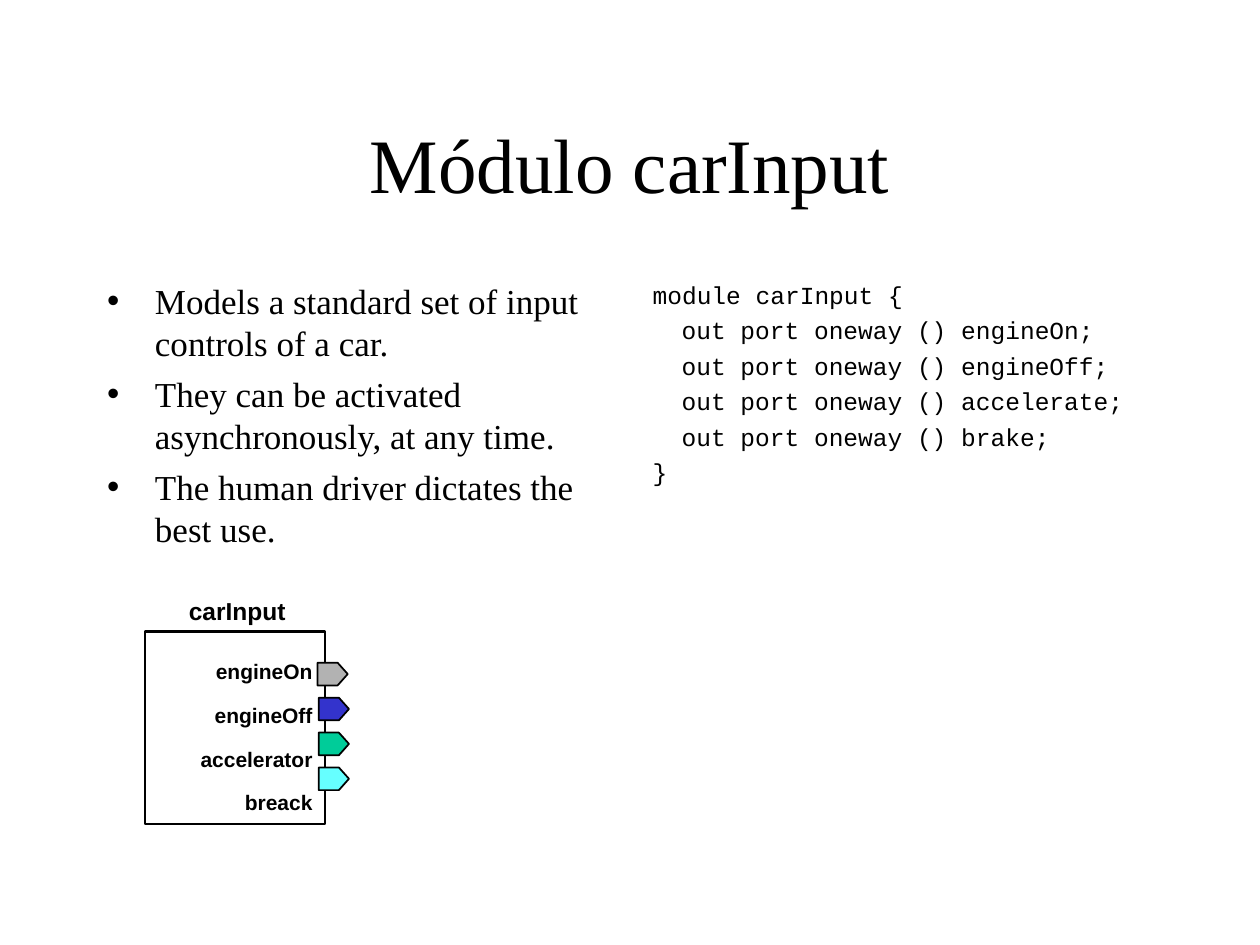
from lxml.etree import SubElement
from pptx import Presentation
from pptx.dml.color import RGBColor
from pptx.enum.shapes import MSO_SHAPE
from pptx.enum.text import MSO_ANCHOR, MSO_AUTO_SIZE, PP_ALIGN
from pptx.oxml.ns import qn
from pptx.util import Inches, Pt

TITLE = "Módulo carInput"
POINTS = [
    "Models a standard set of input controls of a car.",
    "They can be activated asynchronously, at any time.",
    "The human driver dictates the best use.",
]
CODE = [  # (nesting level, line)
    (0, "module carInput {"),
    (1, "out port oneway () engineOn;"),
    (1, "out port oneway () engineOff;"),
    (1, "out port oneway () accelerate;"),
    (1, "out port oneway () brake;"),
    (0, "}"),
]
MODULE = "carInput"
PORTS = [  # (label, left edge, colour name)
    ("engineOn", 2.52, "gray"),
    ("engineOff", 2.53, "blue"),
    ("accelerator", 2.53, "green"),
    ("breack", 2.53, "cyan"),
]
THEME = {
    "serif": "Times New Roman", "sans": "Arial", "mono": "Courier New",
    "title": 44, "body": 20, "code": 14, "module": 14, "port": 12,
    "black": "000000", "white": "FFFFFF",
    "gray": "B2B2B2", "blue": "3333CC", "green": "00CC99", "cyan": "66FFFF",
}
HANG = 0.38
CODE_STEP = 0.23  # two monospaced characters
PORT_TOP, PORT_PITCH = 5.26, 0.277
PORT_W, PORT_H, PORT_TIP = 0.24, 0.18, 0.08


def color(name):
    return RGBColor.from_string(THEME[name])


def place(sp, left, top, width, height):
    sp.left, sp.top = Inches(left), Inches(top)
    sp.width, sp.height = Inches(width), Inches(height)


def write(tf, lines, font, size, align=PP_ALIGN.LEFT, anchor=MSO_ANCHOR.TOP,
          bold=False, before=0, spacing=None, hang=0, step=0, bullet=None,
          wrap=True):
    """Fill a text frame with (level, text) lines, one paragraph each."""
    tf.word_wrap, tf.auto_size = wrap, MSO_AUTO_SIZE.NONE
    tf.vertical_anchor = anchor
    tf.margin_left = tf.margin_right = Inches(0.1)
    tf.margin_top = tf.margin_bottom = Inches(0.05)
    for i, (level, text) in enumerate(lines):
        p = tf.paragraphs[0] if i == 0 else tf.add_paragraph()
        p.alignment, p.space_before = align, Pt(before)
        if spacing:
            p.line_spacing = Pt(spacing)
        r = p.add_run()
        r.text = text
        r.font.name, r.font.size, r.font.bold = THEME[font], Pt(THEME[size]), bold
        r.font.color.rgb = color("black")
        pPr = p._p.get_or_add_pPr()
        pPr.set("marL", str(Inches(hang + level * step)))
        pPr.set("indent", str(Inches(-hang)))
        if bullet:
            SubElement(pPr, qn("a:buChar")).set("char", bullet)
        else:
            SubElement(pPr, qn("a:buNone"))


def style(sp, fill, width):
    sp.shadow.inherit = False
    sp.fill.solid()
    sp.fill.fore_color.rgb = color(fill)
    sp.line.color.rgb = color("black")
    sp.line.width = Pt(width)


def add_port(shapes, left, top, fill):
    right, bottom = left + PORT_W, top + PORT_H
    neck = right - PORT_TIP
    outline = [(neck, top), (right, top + PORT_H / 2), (neck, bottom), (left, bottom)]
    fb = shapes.build_freeform(Inches(left), Inches(top))
    fb.add_line_segments([(Inches(x), Inches(y)) for x, y in outline], close=True)
    style(fb.convert_to_shape(), fill, 1)


def main():
    prs = Presentation()
    prs.slide_width, prs.slide_height = Inches(10), Inches(7.5)
    s = prs.slides.add_slide(prs.slide_layouts[3])
    title, points, code = list(s.placeholders)[:3]

    place(title, 0.75, 0.67, 8.5, 1.25)
    write(title.text_frame, [(0, TITLE)], "serif", "title",
          align=PP_ALIGN.CENTER, anchor=MSO_ANCHOR.MIDDLE)
    place(points, 0.75, 2.17, 4.17, 4.5)
    write(points.text_frame, [(0, t) for t in POINTS], "serif", "body",
          before=5, hang=HANG, bullet="•")
    place(code, 5.08, 2.17, 4.17, 4.5)
    write(code.text_frame, CODE, "mono", "code",
          before=3.5, hang=HANG, step=CODE_STEP)

    shapes = s.shapes.add_group_shape().shapes
    box = shapes.add_shape(MSO_SHAPE.RECTANGLE, Inches(1.15), Inches(5.01),
                           Inches(1.43), Inches(1.53))
    style(box, "white", 1.5)
    write(box.text_frame, [(0, label) for label, _, _ in PORTS], "sans", "port",
          align=PP_ALIGN.RIGHT, anchor=MSO_ANCHOR.MIDDLE, bold=True, spacing=25)
    for i, (_, left, fill) in enumerate(PORTS):
        add_port(shapes, left, PORT_TOP + i * PORT_PITCH, fill)
    name = shapes.add_textbox(Inches(1.4), Inches(4.68), Inches(0.97), Inches(0.33))
    write(name.text_frame, [(0, MODULE)], "sans", "module", bold=True, wrap=False)

    prs.save("out.pptx")


if __name__ == "__main__":
    main()
